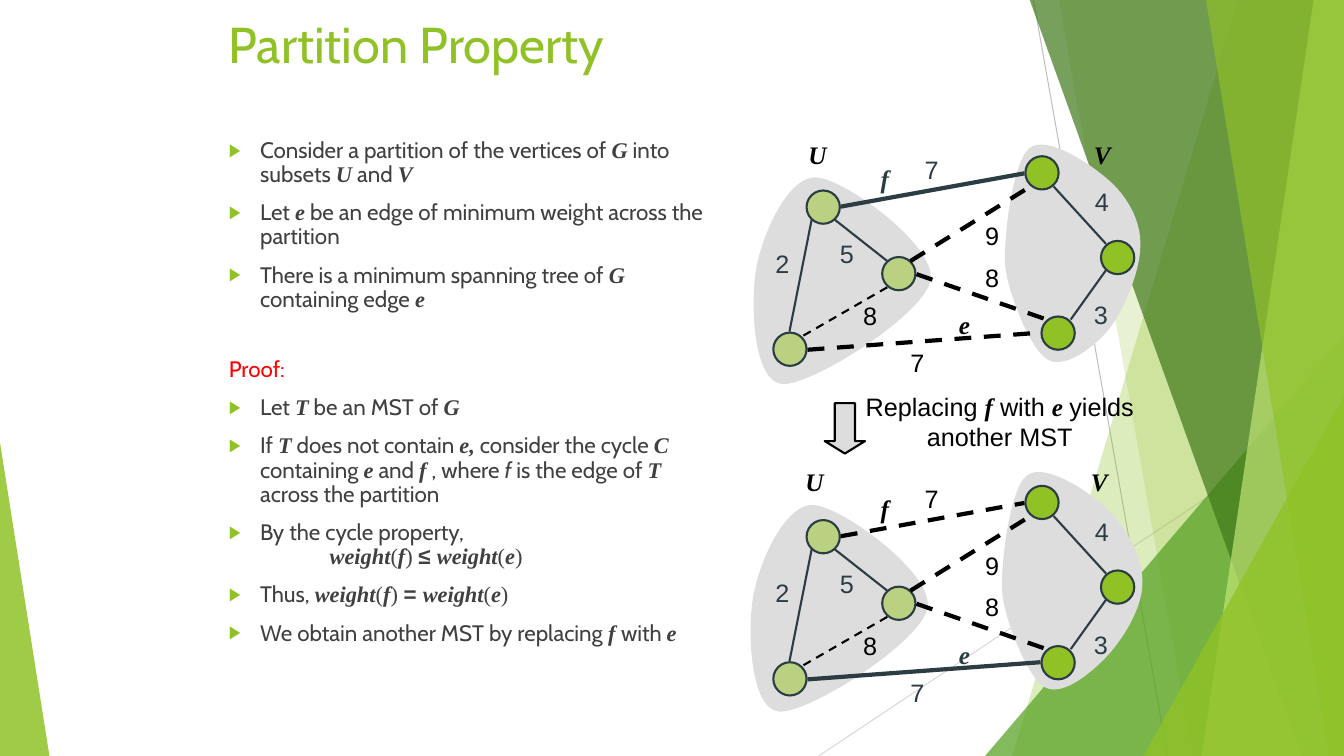
from lxml import etree
from pptx import Presentation
from pptx.dml.color import RGBColor
from pptx.enum.dml import MSO_LINE
from pptx.enum.shapes import MSO_CONNECTOR, MSO_SHAPE
from pptx.enum.text import MSO_ANCHOR, PP_ALIGN
from pptx.oxml.ns import qn
from pptx.util import Inches, Pt

STRAIGHT = MSO_CONNECTOR.STRAIGHT
DASH = MSO_LINE.DASH
ELLIPSE, TRIANGLE, DOWN_ARROW = MSO_SHAPE.OVAL, MSO_SHAPE.ISOSCELES_TRIANGLE, MSO_SHAPE.DOWN_ARROW
CENTER, LEFT = PP_ALIGN.CENTER, PP_ALIGN.LEFT
TOP = MSO_ANCHOR.TOP

GREEN, PALE, GREY, SLATE, BLACK = "90C226", "B9D181", "DDDDDD", "2C3C43", "000000"
BODY_TEXT, RED = "404040", "FF0000"
LOWER = 3.27

MATH = {"name": "Times New Roman", "bold": True, "italic": True}
SERIF = {"name": "Times New Roman", "bold": False, "italic": False}
SYMBOL = {"name": "Arial", "bold": True, "italic": False}
SLANTED = {"name": "Cabin", "bold": False, "italic": True}
CABIN = {"name": "Cabin", "bold": False, "italic": False}
ARIAL = {"name": "Arial", "bold": False, "italic": False}
MARKS = {"*": MATH, "_": SERIF, "+": SYMBOL, "~": SLANTED}

BULLETS = [
    "Consider a partition of the vertices of |*G| into subsets |*U| and |*V",
    "Let |*e| be an edge of minimum weight across the partition",
    "There is a minimum spanning tree of |*G| containing edge |*e",
    "Proof:",
    "Let |*T| be an MST of |*G",
    "If |*T| does not contain |*e,| consider the cycle |*C| containing |*e| and |*f"
    "| , where |~f| is the edge of |*T| across the partition",
    "By the cycle property,\n\t|*weight|_(|*f|_) |+≤ |*weight|_(|*e|_)",
    "Thus, |*weight|_(|*f|_) |+= |*weight|_(|*e|_)",
    "We obtain another MST by replacing |*f |with |*e",
]

FACETS = [
    ([(12.28, -0.01), (13.33, -0.01), (13.33, 7.5), (10.04, 7.5)], GREEN, 30),
    ([(10.5, -0.01), (13.33, -0.01), (13.33, 7.5), (11.83, 7.5)], GREEN, 20),
    ((9.77, 3.33, 3.56, 4.17, 1), "54A021", 72),
    ([(10.21, -0.01), (13.33, -0.01), (13.33, 7.5), (12.91, 7.5)], "3F7819", 70),
    ([(13.03, -0.01), (13.33, -0.01), (13.33, 7.5), (11.92, 7.5)], "C0E474", 70),
    ([(11.96, -0.01), (13.33, -0.01), (13.33, 7.5), (13.18, 7.5)], GREEN, 65),
    ((11.34, 3.93, 1.99, 3.57, 1), GREEN, 80),
    ((0, 4.39, 0.49, 3.11, 0), GREEN, 85),
]

U_REGION = [(7.5, 2.67), (7.44, 3.01), (7.47, 3.79), (7.76, 3.81), (8.05, 3.83), (9.17, 3.12),
            (9.23, 2.78), (9.29, 2.44), (8.39, 1.78), (8.1, 1.76), (7.82, 1.74), (7.56, 2.32),
            (7.5, 2.67)]
V_UPPER = [(9.97, 2.63), (9.99, 2.88), (10.21, 3.45), (10.38, 3.56), (10.54, 3.67), (10.82, 3.47),
           (10.98, 3.29), (11.14, 3.1), (11.31, 2.69), (11.31, 2.44), (11.32, 2.19), (11.18, 1.95),
           (11, 1.79), (10.82, 1.63), (10.38, 1.33), (10.21, 1.47), (10.04, 1.61), (9.95, 2.38),
           (9.97, 2.63)]
V_LOWER = [(9.94, 5.88), (9.96, 6.13), (10.18, 6.7), (10.35, 6.81), (10.52, 6.92), (10.79, 6.7),
           (10.95, 6.54), (11.12, 6.37), (11.33, 6.04), (11.33, 5.79), (11.34, 5.54), (11.16, 5.21),
           (10.97, 5.04), (10.78, 4.86), (10.35, 4.58), (10.18, 4.72), (10.01, 4.86), (9.92, 5.63),
           (9.94, 5.88)]
U_NODES = [(8, 1.89), (8.75, 2.55), (7.67, 3.3)]
V_NODES = [(10.17, 1.55), (10.92, 2.39), (10.33, 3.14)]
TREE_EDGES = [(8.28, 2.18, 8.8, 2.59), (8.05, 2.18, 7.83, 3.29),
              (10.97, 2.42, 10.45, 1.85), (10.62, 3.17, 10.97, 2.68)]
CROSS_EDGES = [(9.09, 2.72, 10.38, 3.17), (9.03, 2.59, 10.22, 1.85)]
INNER_EDGE = (8.8, 2.85, 7.95, 3.34)
E_EDGE, F_EDGE = (8.01, 3.47, 10.32, 3.3), (8.34, 2.05, 10.16, 1.72)
TREE_WEIGHTS = [("4", 10.76, 1.8), ("2", 7.59, 2.41), ("5", 8.23, 2.32), ("3", 10.75, 2.92)]
OTHER_WEIGHTS = [("8", 9.67, 2.55), ("9", 9.67, 2.14), ("8", 8.46, 2.93)]
E_LABELS = [("7", 8.93, 3.4, ARIAL, 0.34), ("e", 9.41, 3.02, MATH, 0.31)]
F_LABELS = [("7", 9.07, 1.48, ARIAL, 0.34), ("f", 8.61, 1.57, MATH, 0.33)]


def rgb(code):
    """Turn a hex string into a colour."""
    return RGBColor.from_string(code)


def paint(shape, fill, line=None, alpha=None):
    """Give a shape its fill, optional outline and optional opacity."""
    shape.shadow.inherit = False
    shape.fill.solid()
    shape.fill.fore_color.rgb = rgb(fill)
    if alpha:
        color = shape.fill._xPr.find(qn("a:solidFill"))[0]
        etree.SubElement(color, qn("a:alpha")).set("val", str(alpha * 1000))
    if line:
        shape.line.color.rgb = rgb(line)
        shape.line.width = Pt(1.5)
    else:
        shape.line.fill.background()


def add_preset(page, kind, left, top, width, height, fill, line=None, alpha=None, adjust=()):
    """Add a painted preset shape."""
    shape = page.shapes.add_shape(kind, Inches(left), Inches(top), Inches(width), Inches(height))
    for index, value in enumerate(adjust):
        shape.adjustments[index] = value
    paint(shape, fill, line, alpha)


def add_outline(page, points, fill, alpha=None):
    """Add a closed polygon through points given in inches."""
    corners = [(Inches(x), Inches(y)) for x, y in points]
    builder = page.shapes.build_freeform(*corners[0])
    builder.add_line_segments(corners[1:])
    shape = builder.convert_to_shape()
    paint(shape, fill, alpha=alpha)
    return shape


def add_region(page, points, fill):
    """Add a closed outline of cubic curves, each with two control points."""
    shape = add_outline(page, points[::3], fill)
    segments = list(shape._element.iter(qn("a:lnTo")))
    for number, segment in enumerate(segments):
        segment.tag = qn("a:cubicBezTo")
        for place_in, (x, y) in enumerate(points[3 * number + 1:3 * number + 3]):
            knot = etree.Element(qn("a:pt"))
            knot.set("x", str(Inches(x) - shape.left))
            knot.set("y", str(Inches(y) - shape.top))
            segment.insert(place_in, knot)


def add_line(page, ends, color, width, dash=None, drop=0):
    """Add a straight line, moved down by drop."""
    x1, y1, x2, y2 = ends
    line = page.shapes.add_connector(STRAIGHT, Inches(x1), Inches(y1 + drop), Inches(x2), Inches(y2 + drop))
    line.line.color.rgb = rgb(color)
    line.line.width = Pt(width)
    if dash:
        line.line.dash_style = dash
    etree.SubElement(line._element.spPr, qn("a:effectLst"))


def write(para, text, size, color, base):
    """Write marked-up text as formatted runs."""
    for part in text.split("|"):
        style = MARKS.get(part[0], base)
        for number, piece in enumerate(part.lstrip("".join(MARKS)).split("\n")):
            if number:
                para.add_line_break()
            span = para.add_run()
            span.text = piece
            for name, value in {**style, "size": Pt(size)}.items():
                setattr(span.font, name, value)
            span.font.color.rgb = rgb(color)


def add_label(page, text, left, top, color=BLACK, base=ARIAL, width=0.34, height=0.4):
    """Add a centred text box."""
    box = page.shapes.add_textbox(Inches(left), Inches(top), Inches(width), Inches(height))
    box.text_frame.word_wrap = False
    para = box.text_frame.paragraphs[0]
    para.alignment = CENTER
    write(para, text, 18, color, base)


def place(holder, left, top, width, height):
    """Move a placeholder to the front and set its frame."""
    for name, value in {"left": left, "top": top, "width": width, "height": height}.items():
        setattr(holder, name, Inches(value))
    holder.text_frame.vertical_anchor = TOP
    holder._element.getparent().append(holder._element)
    return holder.text_frame


def set_bullet(para, shown):
    """Set the indent, bullet and tab stop of a list paragraph."""
    props = para._p.get_or_add_pPr()
    props.set("marL", str(Inches(0.81)))
    props.set("indent", str(Inches(-0.31)))
    if shown:
        color = etree.SubElement(props, qn("a:buClr"))
        etree.SubElement(color, qn("a:srgbClr")).set("val", GREEN)
        etree.SubElement(props, qn("a:buSzPct")).set("val", "80000")
        etree.SubElement(props, qn("a:buFont")).set("typeface", "Arial")
        etree.SubElement(props, qn("a:buChar")).set("char", "▶")
    else:
        etree.SubElement(props, qn("a:buNone"))
    stop = etree.SubElement(etree.SubElement(props, qn("a:tabLst")), qn("a:tab"))
    stop.set("pos", str(Inches(1.5)))
    stop.set("algn", "l")


def add_background(page):
    """Draw the thin lines and the green facets."""
    add_line(page, (10.25, 0, 11.58, 7.5), "BFBFBF", 0.75)
    add_line(page, (13.33, 4.03, 8.12, 7.5), "D9D9D9", 0.75)
    for outline, fill, alpha in FACETS:
        if isinstance(outline, tuple):
            add_preset(page, TRIANGLE, *outline[:4], fill, alpha=alpha, adjust=outline[4:])
        else:
            add_outline(page, outline, fill, alpha)


def add_graph(page, drop, v_region, shift, kept, replaced):
    """Draw one partitioned graph with its kept and replaced crossing edges."""
    add_region(page, v_region, GREY)
    add_region(page, [(x + shift[0], y + shift[1]) for x, y in U_REGION], GREY)
    for nodes, fill in ((U_NODES, PALE), (V_NODES, GREEN)):
        for left, top in nodes:
            add_preset(page, ELLIPSE, left, top + drop, 0.33, 0.33, fill, SLATE)
    for edge in TREE_EDGES:
        add_line(page, edge, SLATE, 1.5, drop=drop)
    for edge in CROSS_EDGES:
        add_line(page, edge, BLACK, 3, DASH, drop)
    add_line(page, INNER_EDGE, BLACK, 1.5, DASH, drop)
    for (edge, labels), color, dash in ((kept, SLATE, None), (replaced, BLACK, DASH)):
        add_line(page, edge, color, 3, dash, drop)
        for text, left, top, style, width in labels:
            add_label(page, text, left, top + drop, color, style, width)
    for weights, color in ((TREE_WEIGHTS, SLATE), (OTHER_WEIGHTS, BLACK)):
        for text, left, top in weights:
            add_label(page, text, left, top + drop, color)
    for text, left in (("U", 7.92), ("V", 10.75)):
        add_label(page, text, left + shift[0], 1.33 + shift[1], BLACK, MATH, 0.35)


def add_text(page):
    """Fill the title and the list."""
    title = place(page.shapes.title, 2.17, 0.08, 9, 1).paragraphs[0]
    title.alignment = LEFT
    write(title, "Partition Property", 36, GREEN, CABIN)
    frame = place(page.placeholders[1], 1.67, 1.33, 5.5, 5.75)
    for number, text in enumerate(BULLETS):
        para = frame.add_paragraph() if number else frame.paragraphs[0]
        heading = text == "Proof:"
        set_bullet(para, not heading)
        para.line_spacing = 0.9
        para.space_before = Pt((33 if heading else 10) if number else 0)
        write(para, text, 16, RED if heading else BODY_TEXT, CABIN)


def main():
    """Build and save the slide."""
    deck = Presentation()
    deck.slide_width, deck.slide_height = Inches(13.33), Inches(7.5)
    page = deck.slides.add_slide(deck.slide_layouts[1])
    add_background(page)
    add_text(page)
    e_edge, f_edge = (E_EDGE, E_LABELS), (F_EDGE, F_LABELS)
    add_graph(page, 0, V_UPPER, (0, 0), f_edge, e_edge)
    add_graph(page, LOWER, V_LOWER, (-0.03, 3.25), e_edge, f_edge)
    add_preset(page, DOWN_ARROW, 8.18, 4, 0.4, 0.5, GREY, BLACK, adjust=(0.5, 0.31))
    add_label(page, "Replacing |*f| with |*e |yields\nanother MST", 8.47, 3.83, width=2.89, height=0.71)
    deck.save("out.pptx")


if __name__ == "__main__":
    main()
